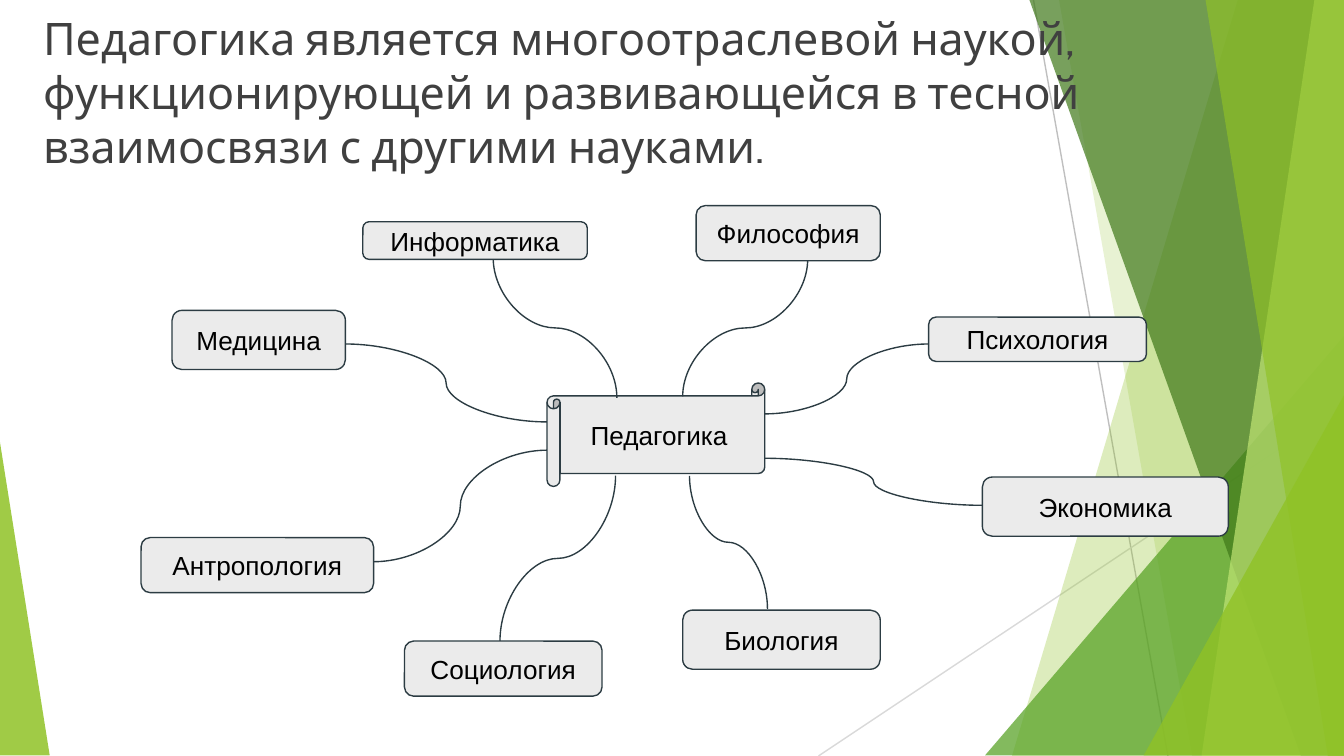
from lxml import etree
from pptx import Presentation
from pptx.dml.color import RGBColor
from pptx.enum.shapes import MSO_CONNECTOR, MSO_SHAPE
from pptx.enum.text import MSO_ANCHOR, MSO_AUTO_SIZE, PP_ALIGN
from pptx.oxml.ns import qn
from pptx.util import Inches, Pt

STRAIGHT, CURVE = MSO_CONNECTOR.STRAIGHT, MSO_CONNECTOR.CURVE
ROUND, SCROLL = MSO_SHAPE.ROUNDED_RECTANGLE, MSO_SHAPE.HORIZONTAL_SCROLL
WEDGE = MSO_SHAPE.ISOSCELES_TRIANGLE
CENTER, LEFT = PP_ALIGN.CENTER, PP_ALIGN.LEFT
MIDDLE, TOP = MSO_ANCHOR.MIDDLE, MSO_ANCHOR.TOP
FIXED = MSO_AUTO_SIZE.NONE

WIDE = 10
HIGH = WIDE * 9 / 16
INK = "2C3C43"
PANEL = "EBEBEB"
LEAF = "90C226"

THEME = (
    "Педагогика является многоотраслевой наукой, функционирующей "
    "и развивающейся в тесной взаимосвязи с другими науками."
)

RAYS = [
    ((7.69, 0), (8.69, HIGH), "BFBFBF"),
    ((WIDE, 3.02), (6.09, HIGH), "D9D9D9"),
]
BANDS = [
    (9.21, 7.53, LEAF, 30),
    (7.88, 8.87, LEAF, 20),
    ((7.33, 2.5, 2.67, 3.12), 1, "54A021", 72),
    (7.66, 9.68, "3F7819", 70),
    (9.78, 8.94, "C0E474", 70),
    (8.97, 9.88, LEAF, 65),
    ((8.51, 2.94, 1.49, 2.68), 1, LEAF, 80),
    ((0, 3.29, 0.37, 2.33), 0, LEAF, 85),
]

HUB = (3.07, 1.32, 1.62, 0.77)
FIELDS = [
    ("Философия", (4.18, 0, 1.37, 0.41), (4.08, 1.42), (5.01, 0.4), True),
    ("Психология", (5.91, 0.83, 1.62, 0.33), (4.69, 1.55), (5.91, 1.03), False),
    ("Биология", (4.08, 3.01, 1.47, 0.44), (4.13, 2.01), (4.71, 3), True),
    ("Антропология", (0.05, 2.47, 1.73, 0.41), (3.07, 1.82), (1.78, 2.65), False),
    ("Медицина", (0.28, 0.78, 1.29, 0.44), (3.07, 1.61), (1.57, 1.03), False),
    ("Экономика", (6.31, 2.02, 1.83, 0.44), (4.69, 1.88), (6.31, 2.23), False),
    ("Социология", (2.01, 3.24, 1.47, 0.41), (3.58, 2.01), (2.72, 3.24), True),
    ("Информатика", (1.7, 0.12, 1.67, 0.28), (3.59, 1.43), (2.67, 0.39), True),
]


def tint(code):
    return RGBColor.from_string(code)


def shift(box, spot):
    return box[0] + spot[0], box[1] + spot[1]


def paint(shape, code, alpha=100, edge=None):
    shape.shadow.inherit = False
    shape.fill.solid()
    shape.fill.fore_color.rgb = tint(code)
    if alpha < 100:
        color = shape._element.spPr.find(qn("a:solidFill"))[0]
        etree.SubElement(color, qn("a:alpha")).set("val", str(alpha * 1000))
    if edge:
        shape.line.color.rgb = tint(edge)
        shape.line.width = Pt(0.75)
    else:
        shape.line.fill.background()


def write(shape, text, font, size, code, align, anchor):
    frame = shape.text_frame
    frame.word_wrap = True
    frame.auto_size = FIXED
    frame.vertical_anchor = anchor
    frame.margin_left = frame.margin_right = Inches(0.1)
    frame.margin_top = frame.margin_bottom = Inches(0.1)
    para = frame.paragraphs[0]
    para.alignment = align
    run = para.add_run()
    run.text = text
    run.font.name = font
    run.font.size = Pt(size)
    run.font.color.rgb = tint(code)
    return para


def link(slide, kind, start, end, code):
    line = slide.shapes.add_connector(kind, *map(Inches, start + end))
    line.line.color.rgb = tint(code)
    line.line.width = Pt(0.75)
    etree.SubElement(line._element.spPr, qn("a:effectLst"))
    return line


def bend(slide, start, end, upright):
    if not upright:
        link(slide, CURVE, start, end, INK)
        return
    mid_x, mid_y = (start[0] + end[0]) / 2, (start[1] + end[1]) / 2
    side = 1 if end[0] > start[0] else -1
    half_x = side * (end[0] - start[0]) / 2
    half_y = side * (start[1] - end[1]) / 2
    line = link(slide, CURVE, (mid_x - half_y, mid_y - half_x),
                (mid_x + half_y, mid_y + half_x), INK)
    line.rotation = 270 if side > 0 else 90


def facets(slide, box):
    left, top, wide, high = box
    for start, end, code in RAYS:
        link(slide, STRAIGHT, shift(box, start), shift(box, end), code)
    for place, foot, code, alpha in BANDS:
        if isinstance(place, tuple):
            spot = shift(box, place) + place[2:]
            shape = slide.shapes.add_shape(WEDGE, *map(Inches, spot))
            shape.adjustments[0] = foot
        else:
            edge = [(left + place, top), (left + wide, top),
                    (left + wide, top + high), (left + foot, top + high)]
            dots = [(Inches(x), Inches(y)) for x, y in edge]
            path = slide.shapes.build_freeform(*dots[0])
            path.add_line_segments(dots[1:], close=True)
            shape = path.convert_to_shape()
        paint(shape, code, alpha)


def lead(slide, box):
    body = slide.placeholders[1]
    body.left, body.top, body.width, body.height = map(Inches, box)
    slide.shapes._spTree.append(body._element)
    para = write(body, THEME, "Cabin", 24, "404040", LEFT, TOP)
    para.space_before, para.space_after = Pt(0), Pt(16)
    props = para._p.get_or_add_pPr()
    props.set("marL", "0")
    props.set("indent", "0")
    etree.SubElement(props, qn("a:buNone"))


def node(slide, kind, box, text):
    shape = slide.shapes.add_shape(kind, *map(Inches, box))
    paint(shape, PANEL, edge=INK)
    write(shape, text, "Arial", 14, "000000", CENTER, MIDDLE)


def web(slide, box):
    node(slide, SCROLL, shift(box, HUB) + HUB[2:], "Педагогика")
    for text, place, start, end, upright in FIELDS:
        bend(slide, shift(box, start), shift(box, end), upright)
        node(slide, ROUND, shift(box, place) + place[2:], text)


def main():
    deck = Presentation()
    deck.slide_width, deck.slide_height = Inches(WIDE), Inches(HIGH)
    slide = deck.slides.add_slide(deck.slide_layouts[1])
    title = slide.shapes.title._element
    title.getparent().remove(title)
    facets(slide, (0, 0, WIDE, HIGH))
    lead(slide, (0.22, -0.02, 9.32, 1))
    web(slide, (1, 1.53, 8.14, 3.65))
    deck.save("out.pptx")


if __name__ == "__main__":
    main()
